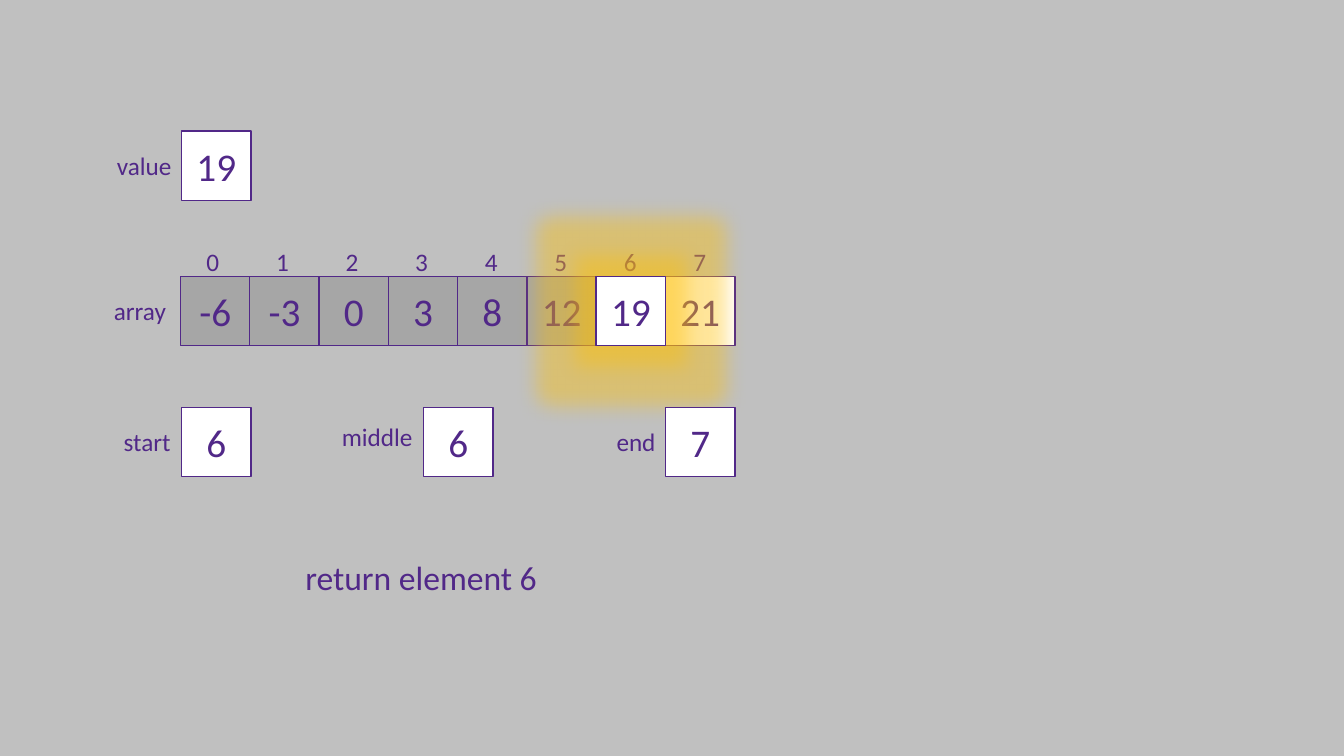
from lxml import etree
from pptx import Presentation
from pptx.dml.color import RGBColor
from pptx.enum.shapes import MSO_SHAPE
from pptx.enum.text import MSO_ANCHOR, MSO_AUTO_SIZE, PP_ALIGN
from pptx.oxml.ns import qn
from pptx.util import Inches, Pt

PURPLE = RGBColor(0x51, 0x28, 0x88)
WHITE = RGBColor(0xFF, 0xFF, 0xFF)
RULED_OUT = RGBColor(0xA6, 0xA6, 0xA6)
BACKDROP = RGBColor(0xC0, 0xC0, 0xC0)
GLOW = RGBColor(0xFF, 0xC0, 0x00)

CELL = 0.69
ARRAY_LEFT, ARRAY_TOP = 1.79, 2.74
ARRAY_STEP = (6.6 - ARRAY_LEFT) / 7
VALUES = [-6, -3, 0, 3, 8, 12, 19, 21]
FOUND = 6


def add_cell(shapes, left, top, value, fill=WHITE):
    cell = shapes.add_shape(MSO_SHAPE.RECTANGLE, Inches(left), Inches(top),
                            Inches(CELL), Inches(CELL))
    cell.shadow.inherit = False
    cell.fill.solid()
    cell.fill.fore_color.rgb = fill
    cell.line.color.rgb = PURPLE
    cell.line.width = Pt(1)
    cell.text_frame.vertical_anchor = MSO_ANCHOR.MIDDLE
    add_text(cell.text_frame, str(value), 28, PP_ALIGN.CENTER)
    return cell


def add_text(frame, text, size, align):
    paragraph = frame.paragraphs[0]
    paragraph.alignment = align
    run = paragraph.add_run()
    run.text = text
    run.font.name = "Calibri"
    run.font.size = Pt(size)
    run.font.color.rgb = PURPLE


prs = Presentation()
prs.slide_width, prs.slide_height = Inches(13.33), Inches(7.5)
slide = prs.slides.add_slide(prs.slide_layouts[6])
slide.background.fill.solid()
slide.background.fill.fore_color.rgb = BACKDROP

array = slide.shapes.add_group_shape().shapes

# Labels: container, text, left, top, width, height, size, alignment
labels = [
    (slide.shapes, "value", 1.05, 1.44, 0.75, 0.4, 18, PP_ALIGN.RIGHT),
    (slide.shapes, "start", 1.12, 4.18, 0.67, 0.4, 18, PP_ALIGN.RIGHT),
    (slide.shapes, "middle", 3.28, 4.13, 0.91, 0.4, 18, PP_ALIGN.RIGHT),
    (slide.shapes, "end", 6.01, 4.18, 0.59, 0.4, 18, PP_ALIGN.RIGHT),
    (slide.shapes, "return element 6", 2.93, 5.48, 2.52, 0.5, 24, PP_ALIGN.LEFT),
    (array, "array", 1.03, 2.88, 0.72, 0.4, 18, PP_ALIGN.LEFT),
]
for index in range(len(VALUES)):
    labels.append((array, str(index), 1.95 + index * CELL, 2.39, 0.33, 0.4, 18,
                   PP_ALIGN.LEFT))
for shapes, text, left, top, width, height, size, align in labels:
    label = shapes.add_textbox(Inches(left), Inches(top), Inches(width), Inches(height))
    label.text_frame.word_wrap = False
    label.text_frame.auto_size = MSO_AUTO_SIZE.SHAPE_TO_FIT_TEXT
    add_text(label.text_frame, text, size, align)

# The found element goes last so that its glow covers its neighbours
for index in sorted(range(len(VALUES)), key=lambda i: i == FOUND):
    cell = add_cell(array, ARRAY_LEFT + index * ARRAY_STEP, ARRAY_TOP, VALUES[index],
                    RULED_OUT if index < FOUND else WHITE)
effects = cell._element.spPr.find(qn("a:effectLst"))
glow = etree.SubElement(effects, qn("a:glow"), rad=str(Inches(0.4)))
glow_color = etree.SubElement(glow, qn("a:srgbClr"), val=str(GLOW))
etree.SubElement(glow_color, qn("a:alpha"), val="40000")

for left, top, value in [(1.8, 1.3, 19), (1.8, 4.04, 6), (4.2, 4.04, 6), (6.6, 4.04, 7)]:
    add_cell(slide.shapes, left, top, value)

prs.save("out.pptx")
